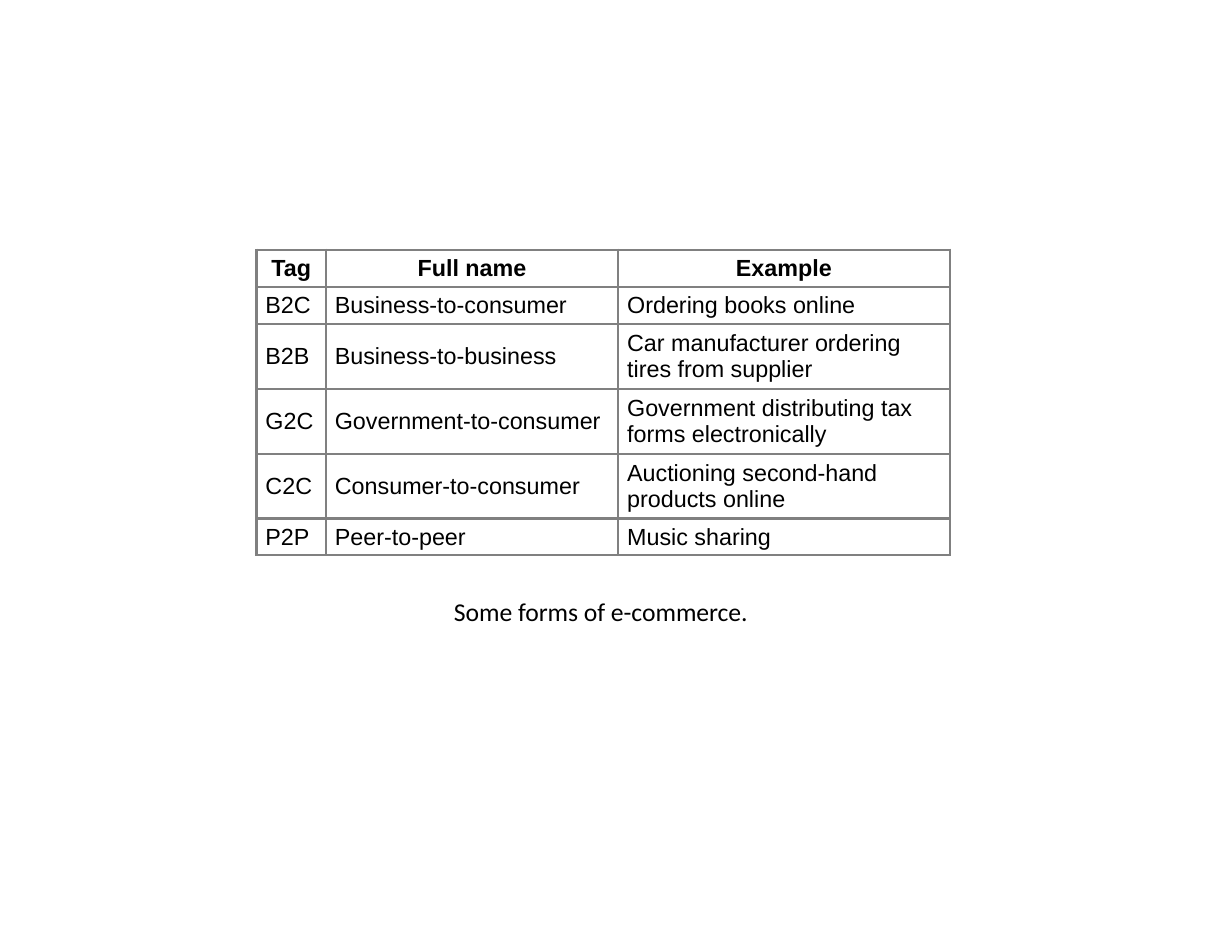
from dataclasses import dataclass

from lxml.etree import SubElement
from pptx import Presentation
from pptx.dml.color import RGBColor
from pptx.enum.text import MSO_ANCHOR, MSO_AUTO_SIZE, PP_ALIGN
from pptx.oxml.ns import qn
from pptx.util import Inches, Pt


@dataclass(frozen=True)
class Theme:
    text: str = "000000"
    border: str = "808080"
    border_width: float = 1.5
    table_font: str = "Arial"
    table_size: float = 15
    caption_font: str = "Calibri"
    caption_size: float = 16.5


class SlideBuilder:
    def __init__(self, slide, theme):
        self.slide = slide
        self.theme = theme

    def add_run(self, p, text, font, size, bold=False):
        r = p.add_run()
        r.text = text
        r.font.name = font
        r.font.size = Pt(size)
        r.font.bold = bold
        r.font.color.rgb = RGBColor.from_string(self.theme.text)

    def caption(self, text, left, top, width, height):
        sp = self.slide.shapes.add_textbox(
            Inches(left), Inches(top), Inches(width), Inches(height))
        tf = sp.text_frame
        tf.word_wrap = True
        tf.auto_size = MSO_AUTO_SIZE.SHAPE_TO_FIT_TEXT
        p = tf.paragraphs[0]
        p.alignment = PP_ALIGN.CENTER
        self.add_run(p, text, self.theme.caption_font, self.theme.caption_size)

    def border(self, cell):
        tcPr = cell._tc.get_or_add_tcPr()
        for side in ("a:lnL", "a:lnR", "a:lnT", "a:lnB"):
            ln = SubElement(tcPr, qn(side), w=str(Pt(self.theme.border_width)))
            fill = SubElement(ln, qn("a:solidFill"))
            SubElement(fill, qn("a:srgbClr"), val=self.theme.border)

    def cell(self, cell, text, header):
        self.border(cell)
        cell.fill.background()
        cell.vertical_anchor = MSO_ANCHOR.MIDDLE
        cell.margin_left = cell.margin_right = Inches(0.08)
        cell.margin_top = cell.margin_bottom = Inches(0.04)
        p = cell.text_frame.paragraphs[0]
        p.alignment = PP_ALIGN.CENTER if header else PP_ALIGN.LEFT
        self.add_run(p, text, self.theme.table_font, self.theme.table_size, header)

    def table(self, rows, left, top, widths, heights):
        table = self.slide.shapes.add_table(
            len(rows), len(widths), Inches(left), Inches(top),
            Inches(sum(widths)), Inches(sum(heights))).table
        table.horz_banding = False
        for column, width in zip(table.columns, widths):
            column.width = Inches(width)
        for i, (row, height) in enumerate(zip(rows, heights)):
            table.rows[i].height = Inches(height)
            for j, text in enumerate(row):
                self.cell(table.cell(i, j), text, header=i == 0)


ROWS = [
    ("Tag", "Full name", "Example"),
    ("B2C", "Business-to-consumer", "Ordering books online"),
    ("B2B", "Business-to-business", "Car manufacturer ordering tires from supplier"),
    ("G2C", "Government-to-consumer", "Government distributing tax forms electronically"),
    ("C2C", "Consumer-to-consumer", "Auctioning second-hand products online"),
    ("P2P", "Peer-to-peer", "Music sharing"),
]
ONE_LINE, TWO_LINES = 0.33, 0.58


def main():
    prs = Presentation()
    prs.slide_width, prs.slide_height = Inches(11), Inches(8.5)
    blank = prs.slide_layouts[6]
    builder = SlideBuilder(prs.slides.add_slide(blank), Theme())

    # Caption below the table
    builder.caption("Some forms of e-commerce.", 2.63, 5.27, 5.47, 0.38)

    # Table of e-commerce forms; long examples take two lines
    heights = [TWO_LINES if len(example) > 25 else ONE_LINE for _, _, example in ROWS]
    builder.table(ROWS, 2.29, 2.23, [0.62, 2.61, 2.96], heights)

    prs.save("out.pptx")


if __name__ == "__main__":
    main()
